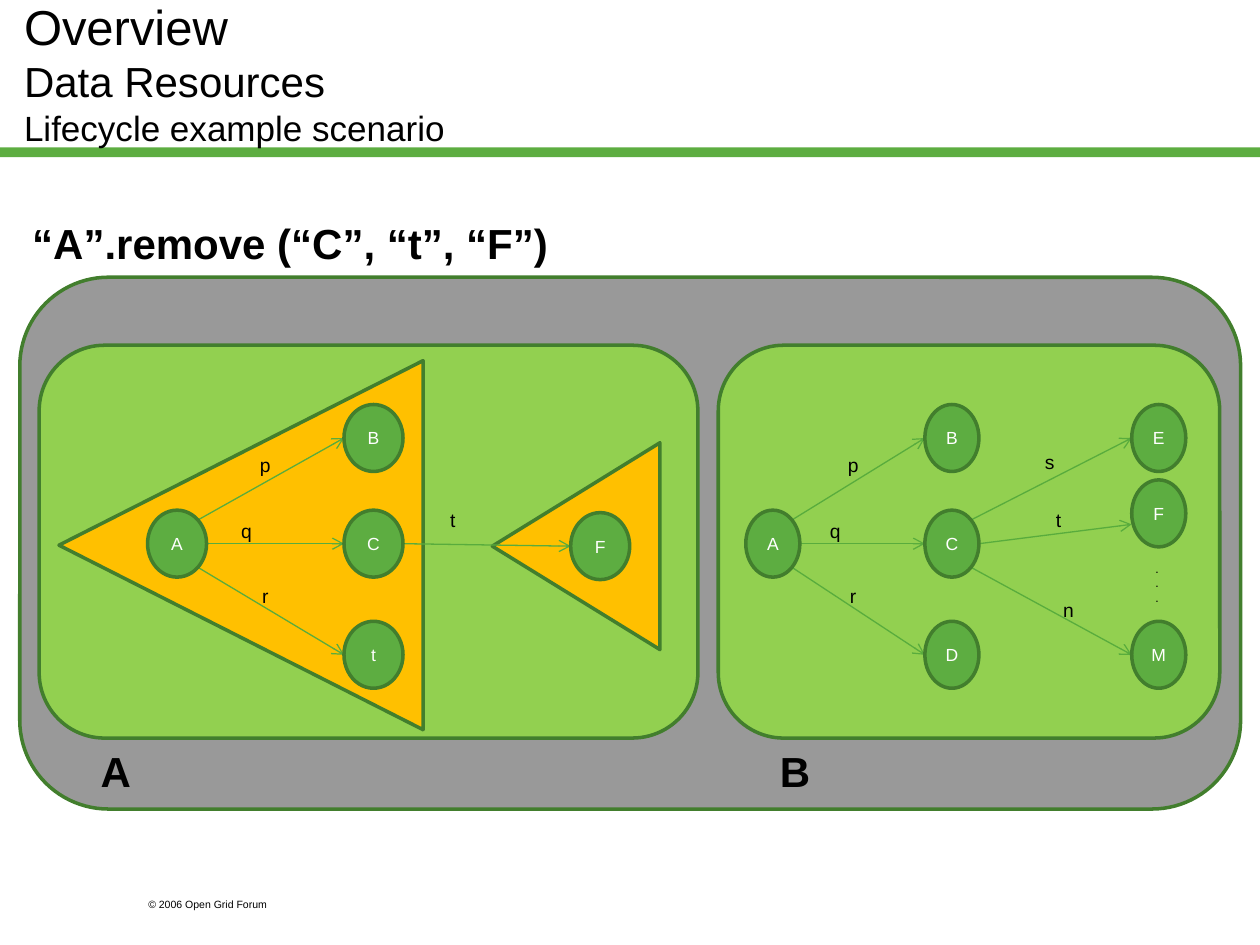
from dataclasses import dataclass
from math import sqrt

from lxml import etree
from pptx import Presentation
from pptx.dml.color import RGBColor
from pptx.enum.shapes import MSO_CONNECTOR, MSO_SHAPE
from pptx.enum.text import MSO_ANCHOR, MSO_AUTO_SIZE, PP_ALIGN
from pptx.oxml.ns import qn
from pptx.shapes.autoshape import Shape
from pptx.slide import Slide
from pptx.util import Cm, Pt

STRAIGHT = MSO_CONNECTOR.STRAIGHT
RECTANGLE, ROUNDED = MSO_SHAPE.RECTANGLE, MSO_SHAPE.ROUNDED_RECTANGLE
OVAL, TRIANGLE = MSO_SHAPE.OVAL, MSO_SHAPE.ISOSCELES_TRIANGLE
LEFT, CENTER, RIGHT = PP_ALIGN.LEFT, PP_ALIGN.CENTER, PP_ALIGN.RIGHT
MIDDLE = MSO_ANCHOR.MIDDLE
NO_AUTOFIT = MSO_AUTO_SIZE.NONE


@dataclass(frozen=True)
class Theme:
    font: str = "Arial"
    ink: str = "000000"
    paper: str = "FFFFFF"
    green: str = "5DAD41"
    outline: str = "427E2D"
    arrow: str = "59AC3D"
    service: str = "999999"
    resource: str = "92D050"
    removed: str = "FFC000"
    title_sizes: tuple[int, ...] = (28, 24, 20)
    heading: int = 24
    label: int = 11
    node: int = 10
    dots: int = 7
    footer: int = 6
    outline_width: float = 2
    arrow_width: float = 0.75


THEME = Theme()


@dataclass(frozen=True)
class Box:
    left: float
    top: float
    width: float
    height: float

    def lengths(self) -> tuple[Cm, Cm, Cm, Cm]:
        return Cm(self.left), Cm(self.top), Cm(self.width), Cm(self.height)


@dataclass(frozen=True)
class Node:
    name: str
    x: float
    y: float


@dataclass(frozen=True)
class Edge:
    source: Node
    target: Node
    label: str
    label_x: float
    label_y: float
    end_drop: float = 0


@dataclass(frozen=True)
class Graph:
    panel: Box
    node_width: float
    edges: tuple[Edge, ...]
    removed: tuple[Box, ...] = ()


NODE_HEIGHT = 1.35
ROW_B, ROW_C, ROW_D = 8.83, 10.96, 13.2
LABEL_P, LABEL_Q, LABEL_R, LABEL_T = 9.39, 10.71, 12.03, 10.5


def first_edges(root: Node, c: Node, last: str, outer: float, inner: float) -> tuple[Edge, ...]:
    return (
        Edge(root, Node("B", c.x, ROW_B), "p", outer, LABEL_P),
        Edge(root, c, "q", inner, LABEL_Q),
        Edge(root, Node(last, c.x, ROW_D), "r", outer, LABEL_R),
    )


RIGHT_C = Node("C", 19.19, ROW_C)
LEFT_C = Node("C", 7.53, ROW_C)
GRAPHS = (
    Graph(
        Box(14.48, 6.96, 10.11, 7.92),
        1.09,
        first_edges(Node("A", 15.58, ROW_C), RIGHT_C, "D", 17.2, 16.84)
        + (
            Edge(RIGHT_C, Node("E", 23.36, ROW_B), "s", 21.16, 9.33),
            Edge(RIGHT_C, Node("F", 23.36, 10.35), "t", 21.34, LABEL_T, 0.22),
            Edge(RIGHT_C, Node("M", 23.36, ROW_D), "n", 21.54, 12.31),
        ),
    ),
    Graph(
        Box(0.79, 6.96, 13.28, 7.92),
        1.19,
        first_edges(Node("A", 3.57, ROW_C), LEFT_C, "t", 5.35, 4.97)
        + (Edge(LEFT_C, Node("F", 12.1, 11.01), "t", 9.13, LABEL_T),),
        (Box(1.14, 7.32, 7.44, 7.34), Box(9.53, 9.32, 4.17, 3.38)),
    ),
)


def colour(value: str) -> RGBColor:
    return RGBColor.from_string(value)


def write(shape: Shape, text: str, size: int, ink: str, align: PP_ALIGN, bold: bool = False) -> None:
    shape.text_frame.text = text
    for paragraph in shape.text_frame.paragraphs:
        paragraph.alignment = align
        for run in paragraph.runs:
            run.font.name, run.font.size, run.font.bold = THEME.font, Pt(size), bold
            run.font.color.rgb = colour(ink)


def add_text(slide: Slide, box: Box, text: str, size: int, align: PP_ALIGN, bold: bool = False) -> None:
    textbox = slide.shapes.add_textbox(*box.lengths())
    textbox.text_frame.word_wrap = True
    write(textbox, text, size, THEME.ink, align, bold)


def add_filled(slide: Slide, kind: MSO_SHAPE, box: Box, fill: str, outlined: bool = True) -> Shape:
    shape = slide.shapes.add_shape(kind, *box.lengths())
    shape.shadow.inherit = False
    shape.fill.solid()
    shape.fill.fore_color.rgb = colour(fill)
    if outlined:
        shape.line.color.rgb = colour(THEME.outline)
        shape.line.width = Pt(THEME.outline_width)
    else:
        shape.line.fill.background()
    return shape


def add_node(slide: Slide, node: Node, width: float) -> None:
    box = Box(node.x - width / 2, node.y - NODE_HEIGHT / 2, width, NODE_HEIGHT)
    oval = add_filled(slide, OVAL, box, THEME.green)
    frame = oval.text_frame
    frame.margin_left = frame.margin_right = frame.margin_top = frame.margin_bottom = Cm(0.1)
    frame.vertical_anchor = MIDDLE
    write(oval, node.name, THEME.node, THEME.paper, CENTER)


def add_edge(slide: Slide, edge: Edge, node_width: float) -> None:
    source, target = edge.source, edge.target
    rise = target.y - source.y
    start_x, start_y = source.x + node_width / 2, source.y
    if abs(rise) > NODE_HEIGHT:
        start_x = source.x + node_width / 2 / sqrt(2)
        start_y += NODE_HEIGHT / 2 / sqrt(2) * (1 if rise > 0 else -1)
    arrow = slide.shapes.add_connector(
        STRAIGHT, Cm(start_x), Cm(start_y), Cm(target.x - node_width / 2), Cm(target.y + edge.end_drop)
    )
    arrow.line.color.rgb = colour(THEME.arrow)
    arrow.line.width = Pt(THEME.arrow_width)
    etree.SubElement(arrow.line._get_or_add_ln(), qn("a:tailEnd"), type="arrow")
    etree.SubElement(arrow.element.spPr, qn("a:effectLst"))
    label = Box(edge.label_x - 0.4, edge.label_y - 0.37, 0.8, 0.74)
    add_text(slide, label, edge.label, THEME.label, CENTER)


def add_graph(slide: Slide, graph: Graph) -> None:
    add_filled(slide, ROUNDED, graph.panel, THEME.resource)
    for box in graph.removed:
        add_filled(slide, TRIANGLE, box, THEME.removed).rotation = 270
    for edge in graph.edges:
        add_edge(slide, edge, graph.node_width)
    nodes = dict.fromkeys(node for edge in graph.edges for node in (edge.source, edge.target))
    for node in nodes:
        add_node(slide, node, graph.node_width)


def add_title(slide: Slide) -> None:
    title = slide.shapes.title
    title.left, title.top, title.width, title.height = Box(0.23, 0, 19.48, 2.92).lengths()
    title.text_frame.auto_size = NO_AUTOFIT
    title.text_frame.vertical_anchor = MIDDLE
    write(title, "Overview\vData Resources\vLifecycle example scenario", THEME.heading, THEME.ink, LEFT)
    paragraph = title.text_frame.paragraphs[0]
    for run, size in zip(paragraph.runs, THEME.title_sizes):
        run.font.size = Pt(size)
    for line_break, size in zip(title.element.iter(qn("a:br")), THEME.title_sizes):
        etree.SubElement(line_break, qn("a:rPr"), sz=str(size * 100))
    rule = add_filled(slide, RECTANGLE, Box(0, 2.97, 25.4, 0.2), THEME.green, outlined=False)
    title.element.addprevious(rule.element)


def main() -> None:
    presentation = Presentation()
    presentation.slide_width, presentation.slide_height = Cm(25.4), Cm(19.05)
    slide = presentation.slides.add_slide(presentation.slide_layouts[5])
    add_title(slide)
    add_text(slide, Box(2.74, 17.98, 3.81, 0.51), "© 2006 Open Grid Forum", THEME.footer, LEFT)
    add_filled(slide, ROUNDED, Box(0.4, 5.59, 24.61, 10.72), THEME.service)
    add_text(slide, Box(0.4, 4.27, 15, 1.27), "“A”.remove (“C”, “t”, “F”)", THEME.heading, LEFT, True)
    for name, left in (("A", 1.78), ("B", 15.47)):
        add_text(slide, Box(left, 14.91, 1, 1.27), name, THEME.heading, RIGHT, True)
    for graph in GRAPHS:
        add_graph(slide, graph)
    add_text(slide, Box(23.04, 11.18, 0.53, 1.14), ".\n.\n.", THEME.dots, RIGHT)
    presentation.save("out.pptx")


if __name__ == "__main__":
    main()
